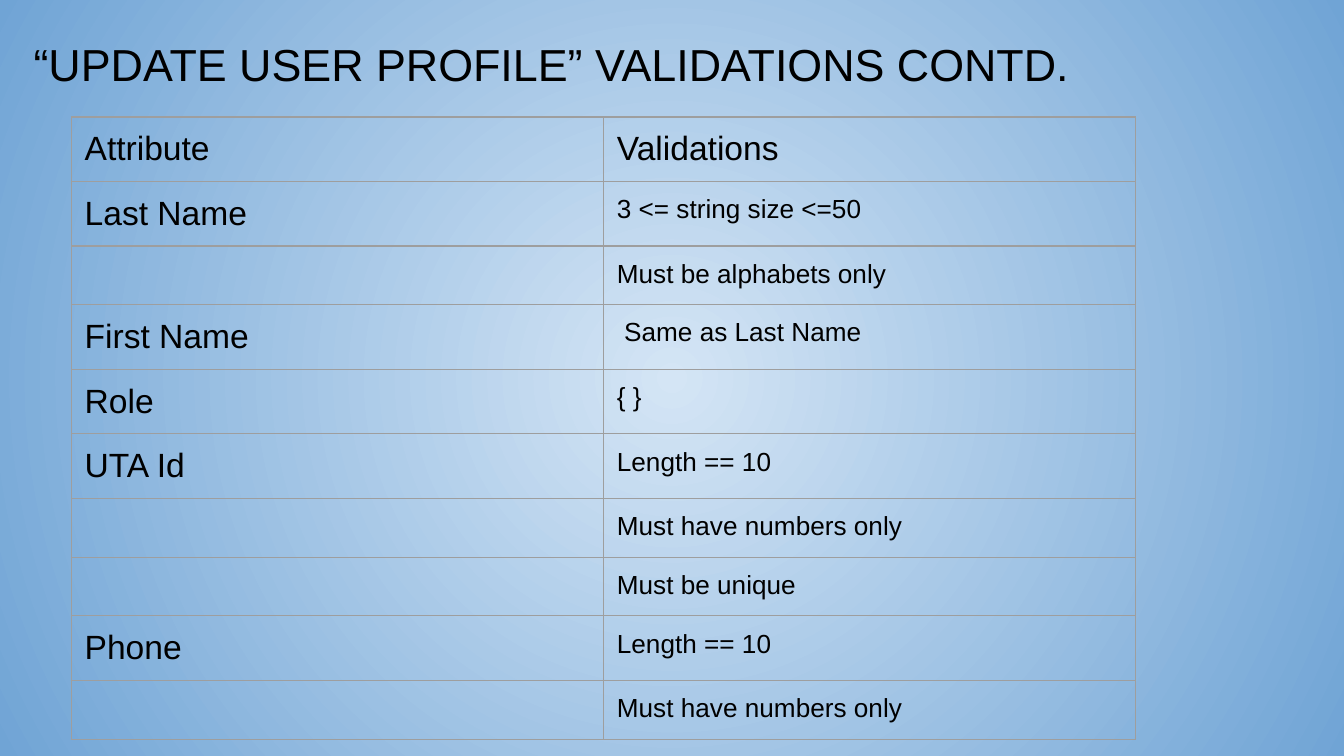
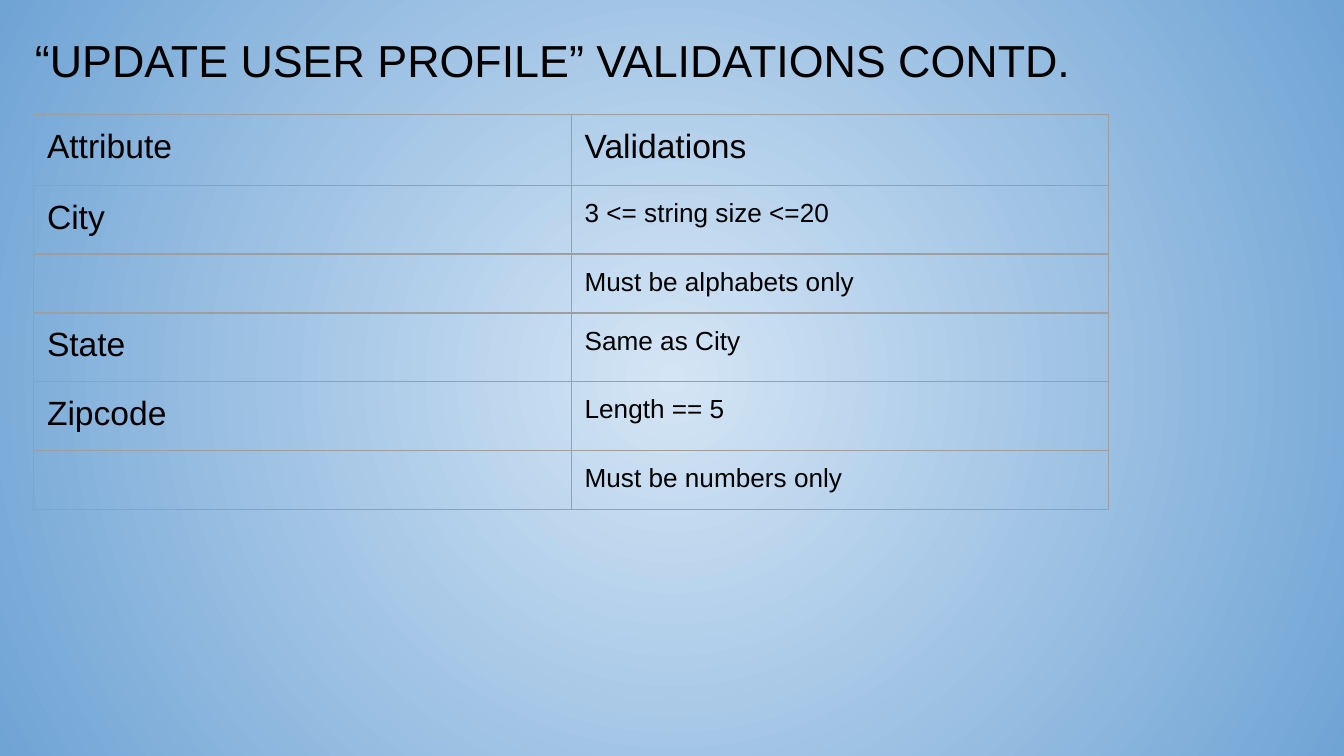
import pptx
import pptx.dml.color
import pptx.enum.text
import pptx.oxml
import pptx.oxml.ns
import pptx.util

RGBColor = pptx.dml.color.RGBColor
CENTRE_BLUE = RGBColor(0xD4, 0xE5, 0xF5)
EDGE_BLUE = RGBColor(0x70, 0xA4, 0xD5)
BLACK = RGBColor(0, 0, 0)
BORDER_GREY = RGBColor(0x9E, 0x9E, 0x9E)

FONT = "Arial"
TITLE_SIZE, LABEL_SIZE, RULE_SIZE = 24, 18, 14
INSET = pptx.util.Inches(0.1)
COLUMNS, ROWS = 160, 90
TITLE_ONLY = 5
TITLE = "“UPDATE USER PROFILE” VALIDATIONS CONTD."
HEADER = ("Attribute", "Validations")


def parse_drawing(tag, attributes, content):
    return pptx.oxml.parse_xml(
        f'<a:{tag} {pptx.oxml.ns.nsdecls("a")} {attributes}>{content}</a:{tag}>'
    )


class Deck:
    """Holds the shared style and the current slide; lengths are in grid units."""

    def __init__(self):
        self.presentation = pptx.Presentation()
        self.presentation.slide_width = pptx.util.Inches(10)
        self.presentation.slide_height = pptx.util.Inches(5.625)
        self.slide = None
        self.set_background()

    def across(self, columns):
        return round(self.presentation.slide_width * columns / COLUMNS)

    def down(self, rows):
        return round(self.presentation.slide_height * rows / ROWS)

    def set_background(self):
        """Give the master a gradient that spreads from the centre."""
        master = self.presentation.slide_master
        fill = master.background.fill
        fill.gradient()
        for stop, color in zip(fill.gradient_stops, (CENTRE_BLUE, EDGE_BLUE)):
            stop.color.rgb = color
        linear = master.element.xpath(".//p:bg//a:lin")[0]
        centre = '<a:fillToRect l="50000" t="50000" r="50000" b="50000"/>'
        linear.getparent().replace(
            linear, parse_drawing("path", 'path="circle"', centre)
        )

    def add_slide(self):
        layout = self.presentation.slide_layouts[TITLE_ONLY]
        self.slide = self.presentation.slides.add_slide(layout)

    def style_text(self, paragraph, size):
        paragraph.alignment = pptx.enum.text.PP_ALIGN.LEFT
        for run in paragraph.runs:
            run.font.name = FONT
            run.font.size = pptx.util.Pt(size)
            run.font.color.rgb = BLACK

    def set_insets(self, target):
        target.margin_left = target.margin_right = INSET
        target.margin_top = target.margin_bottom = INSET

    def add_title(self, left, top, width, height):
        title = self.slide.shapes.title
        title.left, title.width = self.across(left), self.across(width)
        title.top, title.height = self.down(top), self.down(height)
        frame = title.text_frame
        frame.text = TITLE
        frame.word_wrap = True
        frame.auto_size = pptx.enum.text.MSO_AUTO_SIZE.NONE
        frame.vertical_anchor = pptx.enum.text.MSO_ANCHOR.MIDDLE
        self.set_insets(frame)
        frame.paragraphs[0].line_spacing = 1.15
        self.style_text(frame.paragraphs[0], TITLE_SIZE)

    def format_cell(self, cell, text, size):
        cell.text = text
        self.set_insets(cell)
        paragraph = cell.text_frame.paragraphs[0]
        self.style_text(paragraph, size)
        if not text:
            paragraph._p.append(
                parse_drawing("endParaRPr", f'sz="{RULE_SIZE * 100}"', "")
            )
        properties = cell._tc.get_or_add_tcPr()
        line_fill = f'<a:solidFill><a:srgbClr val="{BORDER_GREY}"/></a:solidFill>'
        for side in "LRTB":
            properties.append(
                parse_drawing(f"ln{side}", f'w="{pptx.util.Pt(0.75)}"', line_fill)
            )
        cell.fill.background()

    def add_validations(self, left, top, column_width, row_heights, validations):
        """row_heights lists the header, labelled and unlabelled row heights."""
        header_height, labelled_height, unlabelled_height = row_heights
        heights = [header_height] + [
            labelled_height if label else unlabelled_height
            for label, _ in validations
        ]
        table = self.slide.shapes.add_table(
            len(heights), 2, self.across(left), self.down(top),
            self.across(2 * column_width), self.down(sum(heights)),
        ).table
        table.first_row = table.horz_banding = False
        for column in table.columns:
            column.width = self.across(column_width)
        for index, texts in enumerate([HEADER, *validations]):
            table.rows[index].height = self.down(heights[index])
            rule_size = RULE_SIZE if index else LABEL_SIZE
            self.format_cell(table.cell(index, 0), texts[0], LABEL_SIZE)
            self.format_cell(table.cell(index, 1), texts[1], rule_size)


def main():
    deck = Deck()

    deck.add_slide()
    deck.add_title(2.4, 2.24, 153.92, 9.76)
    deck.add_validations(8.48, 13.92, 63.36, (6.72, 6.72, 6.72), [
        ("Last Name", "3 <= string size <=50"),
        ("", "Must be alphabets only"),
        ("First Name", " Same as Last Name"),
        ("Role", "{ }"),
        ("UTA Id", "Length == 10"),
        ("", "Must have numbers only"),
        ("", "Must be unique"),
        ("Phone", "Length == 10"),
        ("", "Must have numbers only"),
    ])

    deck.add_slide()
    deck.add_title(2.56, 1.92, 153.12, 9.28)
    deck.add_validations(4, 13.6, 64, (8.48, 8.16, 7.04), [
        ("City", "3 <= string size <=20"),
        ("", "Must be alphabets only"),
        ("State", "Same as City"),
        ("Zipcode", "Length == 5"),
        ("", "Must be numbers only"),
    ])

    deck.presentation.save("out.pptx")


if __name__ == "__main__":
    main()
